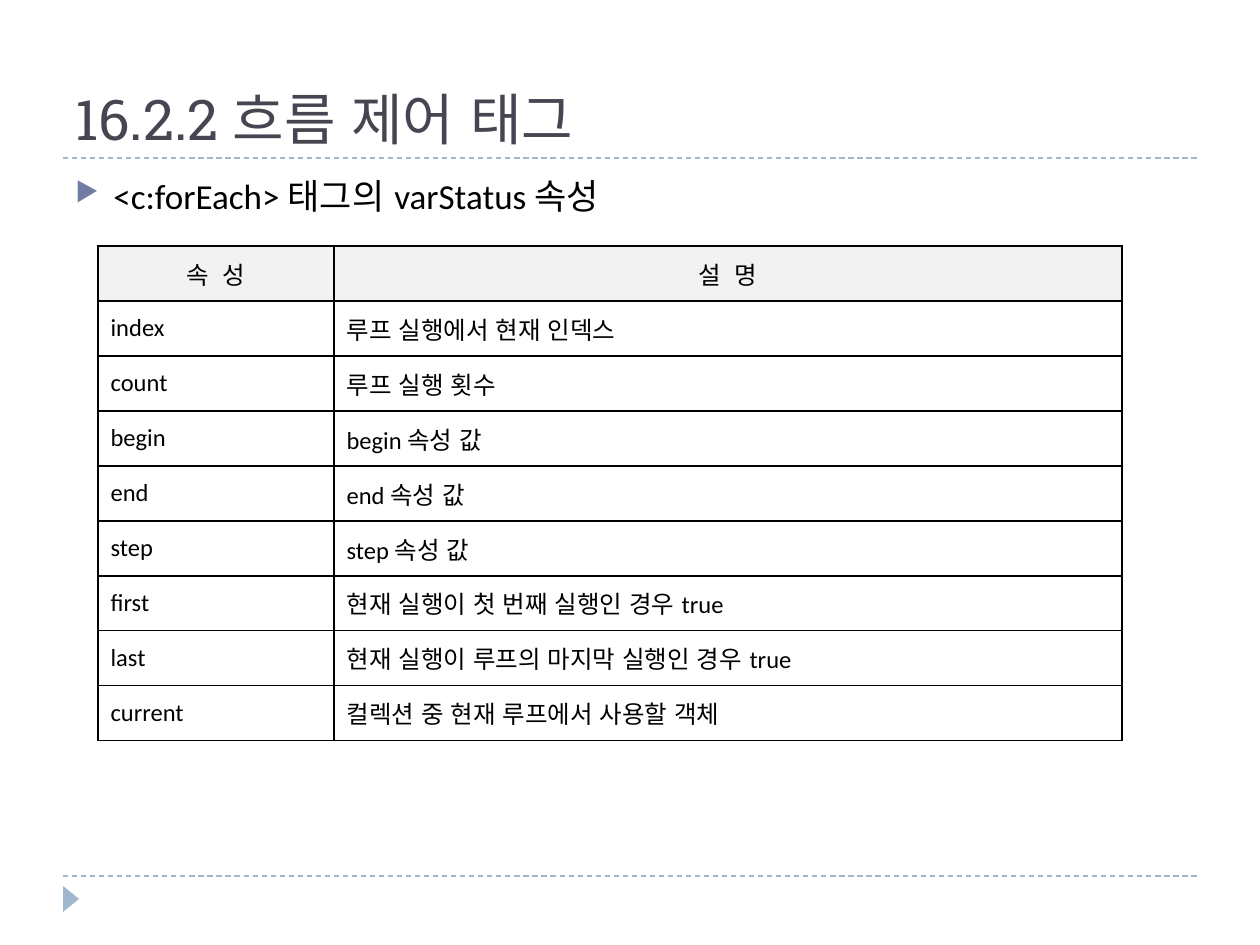
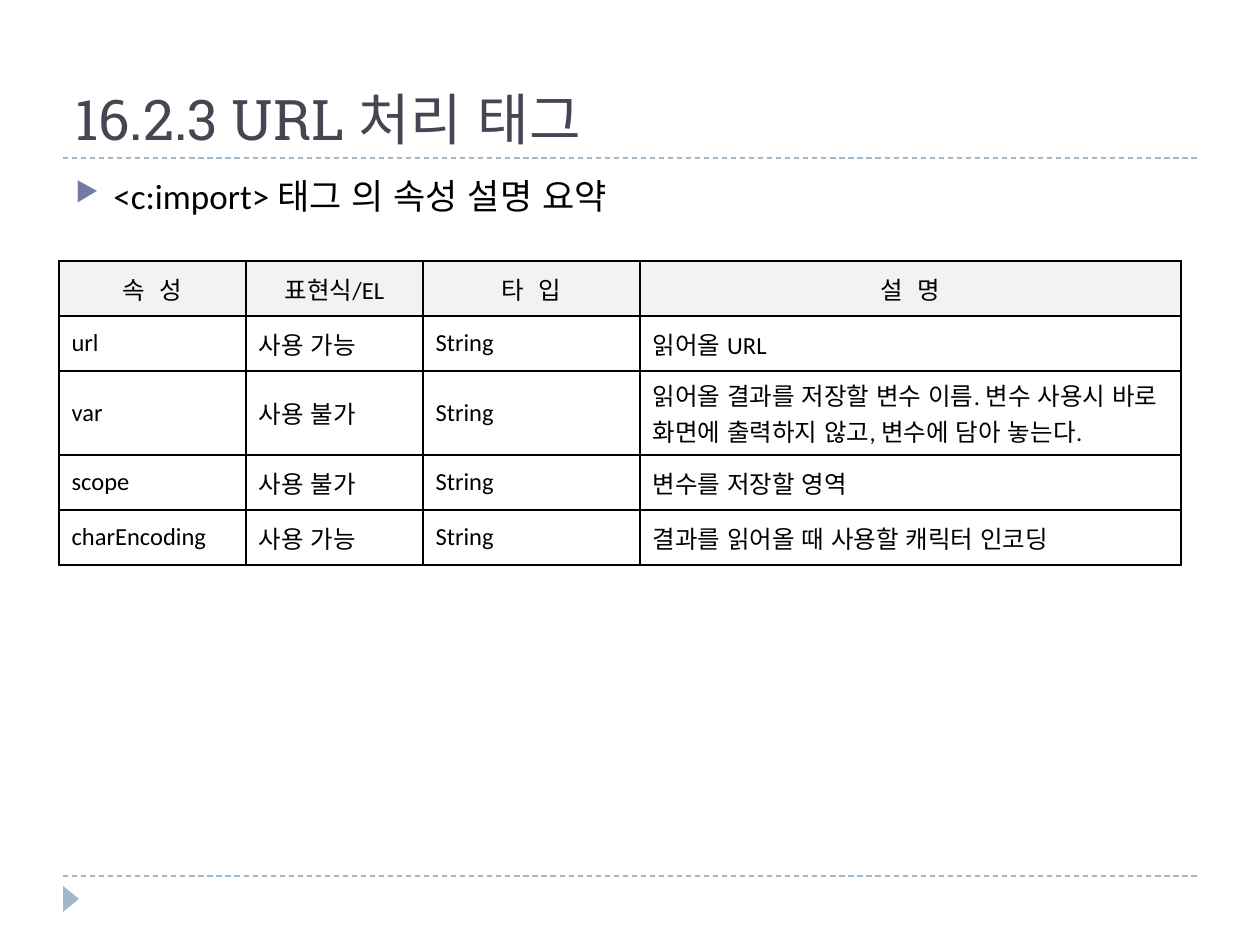
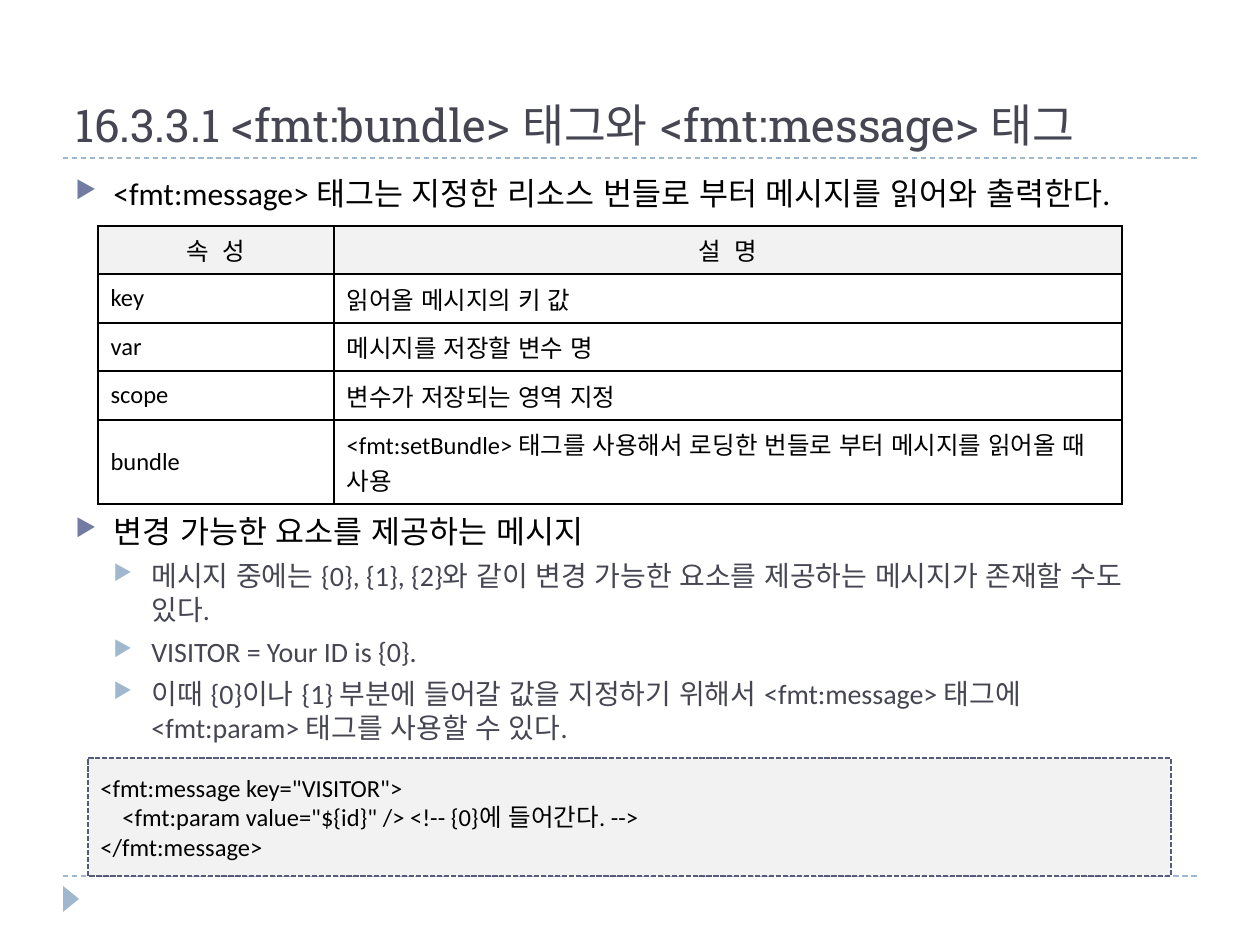
from lxml.etree import SubElement
from pptx import Presentation
from pptx.dml.color import RGBColor
from pptx.enum.dml import MSO_LINE
from pptx.enum.lang import MSO_LANGUAGE_ID
from pptx.enum.shapes import MSO_CONNECTOR, MSO_SHAPE
from pptx.enum.text import MSO_ANCHOR, PP_ALIGN
from pptx.oxml import parse_xml
from pptx.oxml.ns import nsdecls, qn
from pptx.util import Pt

SCALE = 914400 // 126
INK = {"text": "000000", "title": "464653", "bullet": "727CA3", "pale": "9FB8CD",
       "head": "F2F2F2", "edge": "545C79"}
HEAD, BODY = "Roboto Slab", "Calibri"


def emu(*sizes):
    """Turn pixels into EMU."""
    return [size * SCALE for size in sizes]


def tint(name):
    """Look up a colour by its role."""
    return RGBColor.from_string(INK[name])


class Deck:
    """Hold the style and the current slide."""

    def __init__(self):
        """Open an empty deck of the right size."""
        self.file = Presentation()
        self.file.slide_width, self.file.slide_height = emu(1260, 945)

    def page(self, title, size=32):
        """Start a slide with its rules, marker and title."""
        self.slide = self.file.slides.add_slide(self.file.slide_layouts[6])
        self.shapes = self.slide.shapes
        for top in (876, 158):
            self.rule(top)
        mark = self.shape(MSO_SHAPE.ISOSCELES_TRIANGLE, (58, 891, 26, 16), "pale")
        mark.rotation = 90
        mark.line.fill.background()
        frame = self.box(63, 21, 1134, 137)
        frame.vertical_anchor = MSO_ANCHOR.BOTTOM
        frame.text = title
        self.font(frame.paragraphs[0], size, "title", HEAD)

    def font(self, para, size, color="text", face=BODY):
        """Format every run of a paragraph."""
        for run in para.runs:
            run.font.size, run.font.name = Pt(size), face
            run.font.color.rgb = tint(color)
            run.font.language_id = MSO_LANGUAGE_ID.KOREAN

    def rule(self, top):
        """Draw a dashed line across the slide."""
        line = self.shapes.add_connector(MSO_CONNECTOR.STRAIGHT, *emu(63, top, 1197, top))
        line.line.color.rgb = tint("pale")
        line.line.width = Pt(0.75)
        line.line.dash_style = MSO_LINE.DASH
        SubElement(line._element.spPr, qn("a:effectLst"))

    def shape(self, kind, place, fill):
        """Add a flat filled shape."""
        shape = self.shapes.add_shape(kind, *emu(*place))
        shape.shadow.inherit = False
        shape.fill.solid()
        shape.fill.fore_color.rgb = tint(fill)
        return shape

    def box(self, *place):
        """Add a wrapping text box and return its frame."""
        frame = self.shapes.add_textbox(*emu(*place)).text_frame
        frame.word_wrap = True
        return frame

    def list(self, top, high, items, sizes=(20, 16), wide=1134):
        """Write bullets given as pairs of level and text."""
        frame = self.box(63, top, wide, high)
        frame.text = "\n".join(text for _, text in items)
        for para, (level, _) in zip(frame.paragraphs, items):
            para.level = level
            para.space_before = Pt(6 - level)
            self.font(para, sizes[level], ("text", "title")[level])
            self.bullet(para, level)

    def bullet(self, para, level):
        """Give a paragraph its arrow bullet and hanging indent."""
        props = para._p.get_or_add_pPr()
        props.set("marL", str(38 * (level + 1) * SCALE))
        props.set("indent", str(-38 * SCALE))
        color = SubElement(props, qn("a:buClr"))
        SubElement(color, qn("a:srgbClr"), val=INK[("bullet", "pale")[level]])
        SubElement(props, qn("a:buSzPct"), val="76000")
        SubElement(props, qn("a:buFont"), typeface="OpenSymbol")
        SubElement(props, qn("a:buChar"), char="▶")

    def table(self, left, top, cols, highs, rows):
        """Add a bordered table with a shaded first row."""
        place = emu(left, top, sum(cols), sum(highs))
        grid = self.shapes.add_table(len(rows), len(cols), *place).table
        grid.horz_banding = False
        for col, wide in zip(grid.columns, cols):
            col.width = wide * SCALE
        for index, (row, high, words) in enumerate(zip(grid.rows, highs, rows)):
            row.height = high * SCALE
            for cell, text in zip(row.cells, words):
                self.cell(cell, text, index == 0)
        return grid

    def cell(self, cell, text, head):
        """Fill, border and write one cell."""
        cell.text = text
        cell.vertical_anchor = MSO_ANCHOR.MIDDLE
        para = cell.text_frame.paragraphs[0]
        self.font(para, 14)
        if head:
            para.alignment = PP_ALIGN.CENTER
            cell.fill.solid()
            cell.fill.fore_color.rgb = tint("head")
        else:
            cell.fill.background()
        props = cell._tc.get_or_add_tcPr()
        for spot, side in enumerate("LRTB"):
            props.insert(spot, parse_xml(
                f'<a:ln{side} {nsdecls("a")} w="12700"><a:solidFill>'
                f'<a:srgbClr val="{INK["text"]}"/></a:solidFill></a:ln{side}>'))

    def code(self, place, lines):
        """Show code given as pairs of indent and text in a dashed panel."""
        panel = self.shape(MSO_SHAPE.RECTANGLE, place, "head")
        panel.line.color.rgb = tint("edge")
        panel.line.width = Pt(1)
        panel.line.dash_style = MSO_LINE.SQUARE_DOT
        frame = panel.text_frame
        frame.vertical_anchor = MSO_ANCHOR.MIDDLE
        frame.text = "\n".join(text for _, text in lines)
        for para, (indent, _) in zip(frame.paragraphs, lines):
            para.alignment = PP_ALIGN.LEFT
            para._p.get_or_add_pPr().set("marL", str(indent * SCALE))
            self.font(para, 14)


deck = Deck()
PAIR = (236, 788)
TOP = ("속  성", "설  명")

deck.page("16.2.2 흐름 제어 태그")
deck.list(168, 680, [(0, "<c:forEach> 태그의 varStatus 속성")])
deck.table(98, 246, PAIR, [55] * 9, [
    TOP,
    ("index", "루프 실행에서 현재 인덱스"),
    ("count", "루프 실행 횟수"),
    *((name, f"{name} 속성 값") for name in ("begin", "end", "step")),
    ("first", "현재 실행이 첫 번째 실행인 경우 true"),
    ("last", "현재 실행이 루프의 마지막 실행인 경우 true"),
    ("current", "컬렉션 중 현재 루프에서 사용할 객체"),
])

deck.page("16.2.3 URL 처리 태그")
deck.list(168, 680, [(0, "<c:import> 태그 의 속성 설명 요약")])
grid = deck.table(59, 261, (187, 177, 217, 541), (55, 55, 84, 55, 55), [
    ("속  성", "표현식/EL", "타  입", "설  명"),
    ("url", "사용 가능", "String", "읽어올 URL"),
    ("var", "사용 불가", "String",
     "읽어올 결과를 저장할 변수 이름. 변수 사용시 바로 화면에 출력하지 않고, 변수에 담아 놓는다."),
    ("scope", "사용 불가", "String", "변수를 저장할 영역"),
    ("charEncoding", "사용 가능", "String", "결과를 읽어올 때 사용할 캐릭터 인코딩"),
])
grid.cell(2, 3).margin_right = 22 * SCALE

deck.page("16.3.3.1 <fmt:bundle> 태그와 <fmt:message> 태그", 26)
deck.list(168, 55, [
    (0, "<fmt:message> 태그는 지정한 리소스 번들로 부터 메시지를 읽어와 출력한다."),
], (18, 16))
deck.list(506, 245, [
    (0, "변경 가능한 요소를 제공하는 메시지"),
    (1, "메시지 중에는 {0}, {1}, {2}와 같이 변경 가능한 요소를 제공하는 메시지가 존재할 수도 있다."),
    (1, "VISITOR = Your ID is {0}."),
    (1, "이때 {0}이나 {1} 부분에 들어갈 값을 지정하기 위해서 <fmt:message> 태그에 "
        "<fmt:param> 태그를 사용할 수 있다."),
], (18, 16), 1115)
deck.table(98, 226, PAIR, (48, 49, 48, 49, 84), [
    TOP,
    ("key", "읽어올 메시지의 키 값"),
    ("var", "메시지를 저장할 변수 명"),
    ("scope", "변수가 저장되는 영역 지정"),
    ("bundle", "<fmt:setBundle> 태그를 사용해서 로딩한 번들로 부터 메시지를 읽어올 때 사용"),
])
deck.code((88, 758, 1083, 118), [
    (0, '<fmt:message key="VISITOR">'),
    (22, '<fmt:param value="${id}" /> <!-- {0}에 들어간다. -->'),
    (0, "</fmt:message>"),
])

deck.file.save("out.pptx")
